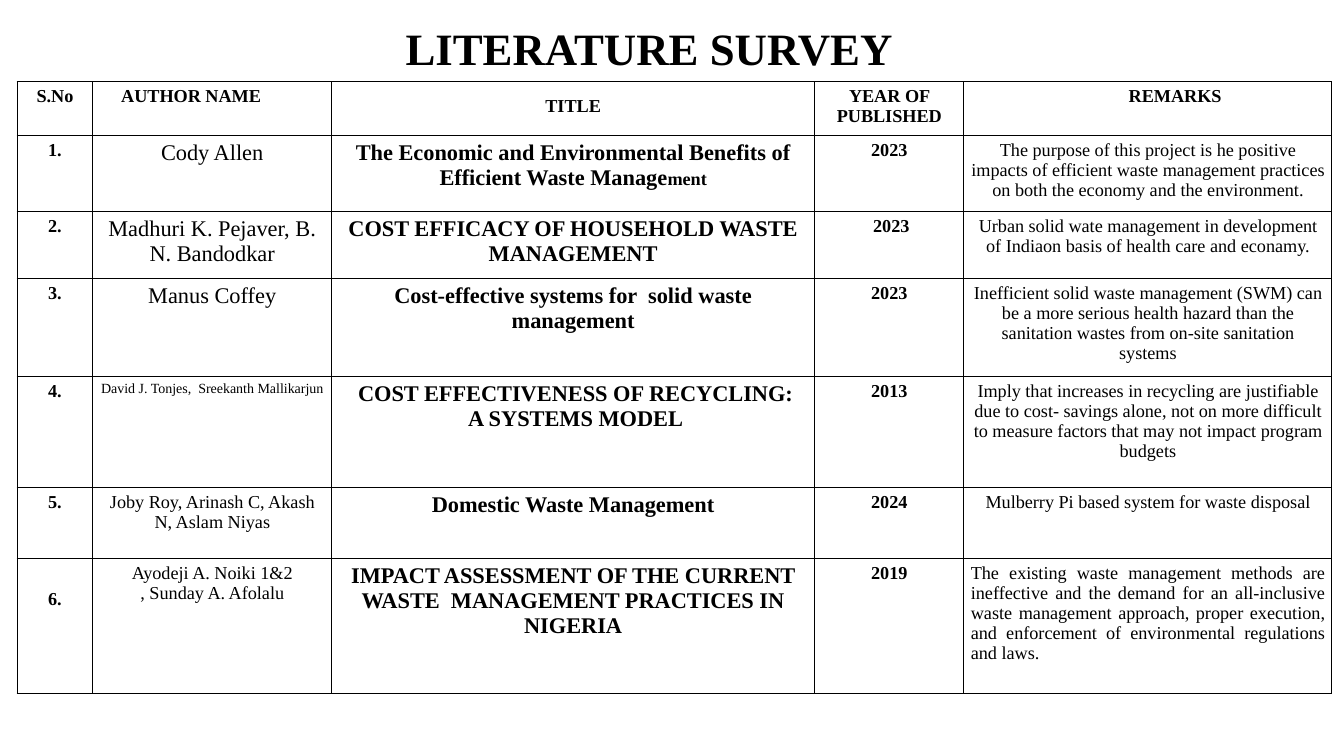
from lxml.etree import SubElement
from pptx import Presentation
from pptx.dml.color import RGBColor
from pptx.enum.text import MSO_ANCHOR, PP_ALIGN
from pptx.oxml.ns import qn
from pptx.util import Inches, Pt

BLACK = RGBColor(0, 0, 0)
FONT = "Times New Roman"
BORDER_WIDTH = Pt(0.96)

HEADING = "LITERATURE SURVEY"
HEADERS = ("S.No", "AUTHOR NAME", "TITLE", "YEAR OF PUBLISHED", "REMARKS")
PAPERS = [
    ("Cody Allen",
     "The Economic and Environmental Benefits of Efficient Waste Manage", "2023",
     "The purpose of this project is he positive impacts of efficient waste "
     "management practices on both the economy and the environment."),
    ("Madhuri K. Pejaver, B. N. Bandodkar",
     "COST EFFICACY OF HOUSEHOLD WASTE MANAGEMENT", "2023",
     "Urban solid wate management in development of Indiaon basis of health "
     "care and econamy."),
    ("Manus Coffey",
     "Cost-effective systems for  solid waste management", "2023",
     "Inefficient solid waste management (SWM) can be a more serious health "
     "hazard than the sanitation wastes from on-site sanitation systems"),
    ("David J. Tonjes,  Sreekanth Mallikarjun",
     "COST EFFECTIVENESS OF RECYCLING:\nA SYSTEMS MODEL", "2013",
     "Imply that increases in recycling are justifiable due to cost- savings "
     "alone, not on more difficult to measure factors that may not impact "
     "program budgets"),
    ("Joby Roy, Arinash C, Akash N, Aslam Niyas",
     "Domestic Waste Management", "2024",
     "Mulberry Pi based system for waste disposal"),
    ("Ayodeji A. Noiki 1&2\n, Sunday A. Afolalu",
     "IMPACT ASSESSMENT OF THE CURRENT WASTE  MANAGEMENT PRACTICES IN NIGERIA",
     "2019",
     "The existing waste management methods are ineffective and the demand for "
     "an all-inclusive waste management approach, proper execution, and "
     "enforcement of environmental regulations and laws."),
]
SMALL_ENDING = "ment"

COLUMN_WIDTHS = (0.75, 2.37, 4.79, 1.48, 3.65)
ROW_HEIGHTS = (0.5, 0.73, 0.67, 0.89, 1.1, 0.71, 1.34)

HEADER_FORMAT = {"size": Pt(13), "bold": True}
COLUMN_FORMATS = (
    {"size": Pt(13), "bold": True},
    {"size": Pt(16), "bold": False},
    {"size": Pt(16), "bold": True},
    {"size": Pt(13), "bold": True},
    {"size": Pt(13), "bold": False},
)
# Keys are (row, column)
AUTHOR_SIZES = {(4, 1): Pt(10), (5, 1): Pt(13), (6, 1): Pt(13)}
CELL_MARGINS = {"margin_left": 0.07, "margin_right": 0.07,
                "margin_top": 0.05, "margin_bottom": 0.05}
SPECIAL_MARGINS = {
    (0, 1): {"margin_right": 0.49},
    (0, 4): {"margin_left": 0.61},
    (2, 3): {"margin_left": 0.11},
    (4, 2): {"margin_left": 0.12},
    (6, 0): {"margin_top": 0.3},
}


def add_run(paragraph, text, font_format):
    run = paragraph.add_run()
    run.text = text
    run.font.color.rgb = BLACK
    for name, value in {"name": FONT, **font_format}.items():
        setattr(run.font, name, value)


def fill_text(frame, text, font_format, alignment=PP_ALIGN.CENTER):
    """Write one aligned paragraph for each line of the text."""
    frame.word_wrap = True
    for index, line in enumerate(text.split("\n")):
        paragraph = frame.add_paragraph() if index else frame.paragraphs[0]
        paragraph.alignment = alignment
        add_run(paragraph, line, font_format)


def size_paragraph_ends(frame):
    """Give each paragraph mark the size of its last run, so rows do not grow."""
    for paragraph in frame.paragraphs:
        size = paragraph.runs[-1].font.size
        SubElement(paragraph._p, qn("a:endParaRPr"), sz=str(int(size.pt * 100)))


def add_borders(cell):
    properties = cell._tc.get_or_add_tcPr()
    for position, side in enumerate(("a:lnL", "a:lnR", "a:lnT", "a:lnB")):
        line = SubElement(properties, qn(side), w=str(int(BORDER_WIDTH)))
        fill = SubElement(line, qn("a:solidFill"))
        SubElement(fill, qn("a:srgbClr"), val=str(BLACK))
        properties.insert(position, line)


def add_heading(slide):
    box = slide.shapes.add_textbox(Inches(1.58), Inches(0.15), Inches(9.72), Inches(0.72))
    frame = box.text_frame
    frame.vertical_anchor = MSO_ANCHOR.MIDDLE
    fill_text(frame, HEADING, {"size": Pt(32), "bold": True})
    frame.paragraphs[0].line_spacing = 0.9


def add_survey_table(slide):
    rows = [HEADERS] + [(f"{number}.", *paper) for number, paper in enumerate(PAPERS, 1)]
    table = slide.shapes.add_table(
        len(rows), len(HEADERS), Inches(0.17), Inches(0.81),
        Inches(sum(COLUMN_WIDTHS)), Inches(sum(ROW_HEIGHTS))).table
    table.first_row = table.horz_banding = False
    for column, width in zip(table.columns, COLUMN_WIDTHS):
        column.width = Inches(width)
    for row, height in zip(table.rows, ROW_HEIGHTS):
        row.height = Inches(height)

    for row_index, texts in enumerate(rows):
        for column_index, text in enumerate(texts):
            place = (row_index, column_index)
            cell = table.cell(*place)
            cell.fill.background()
            add_borders(cell)
            margins = {**CELL_MARGINS, **SPECIAL_MARGINS.get(place, {})}
            for name, value in margins.items():
                setattr(cell, name, Inches(value))
            font_format = dict(COLUMN_FORMATS[column_index] if row_index else HEADER_FORMAT)
            font_format["size"] = AUTHOR_SIZES.get(place, font_format["size"])
            justified = place == (6, 4)
            fill_text(cell.text_frame, text, font_format,
                      PP_ALIGN.JUSTIFY if justified else PP_ALIGN.CENTER)

    table.cell(0, 2).text_frame.paragraphs[0].line_spacing = 1.5
    add_run(table.cell(1, 2).text_frame.paragraphs[0], SMALL_ENDING, HEADER_FORMAT)
    for cell in table.iter_cells():
        size_paragraph_ends(cell.text_frame)


def main():
    presentation = Presentation()
    presentation.slide_width = Inches(13.33)
    presentation.slide_height = Inches(7.5)
    slide = presentation.slides.add_slide(presentation.slide_layouts[6])
    add_heading(slide)
    add_survey_table(slide)
    presentation.save("out.pptx")


if __name__ == "__main__":
    main()
